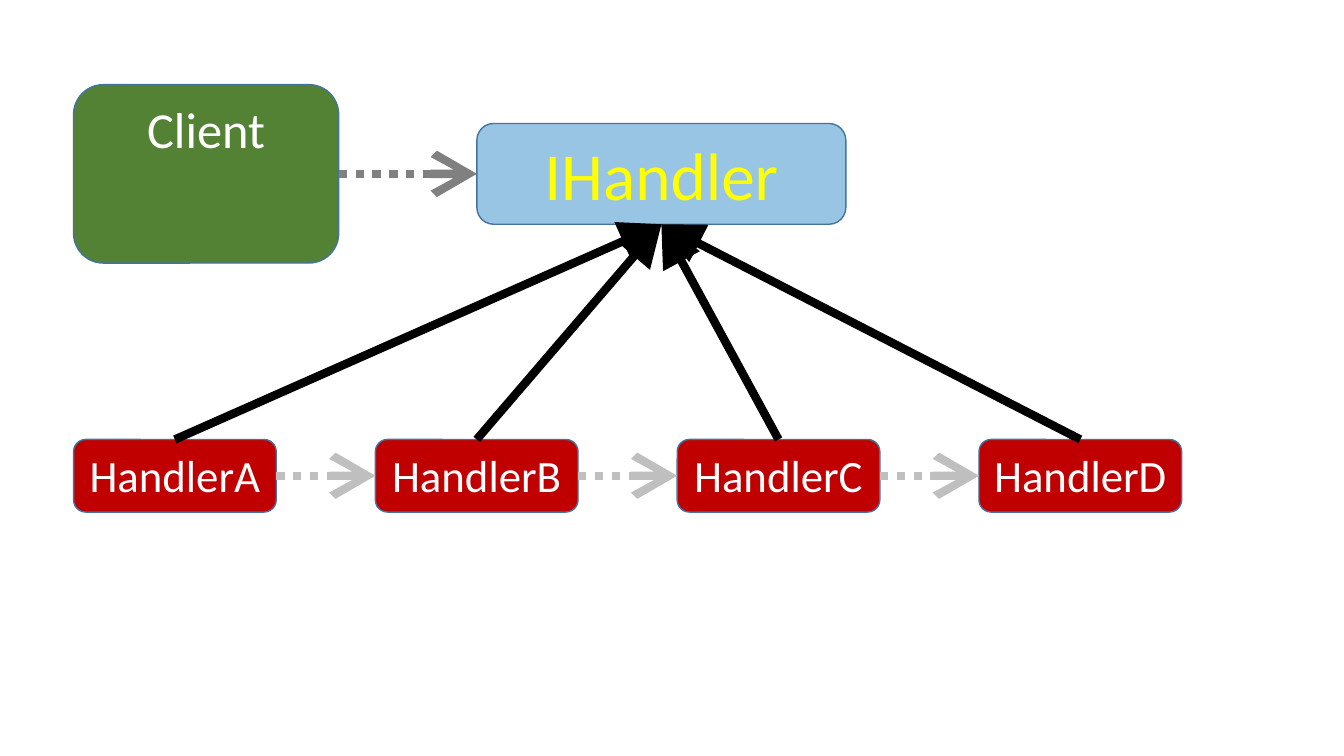
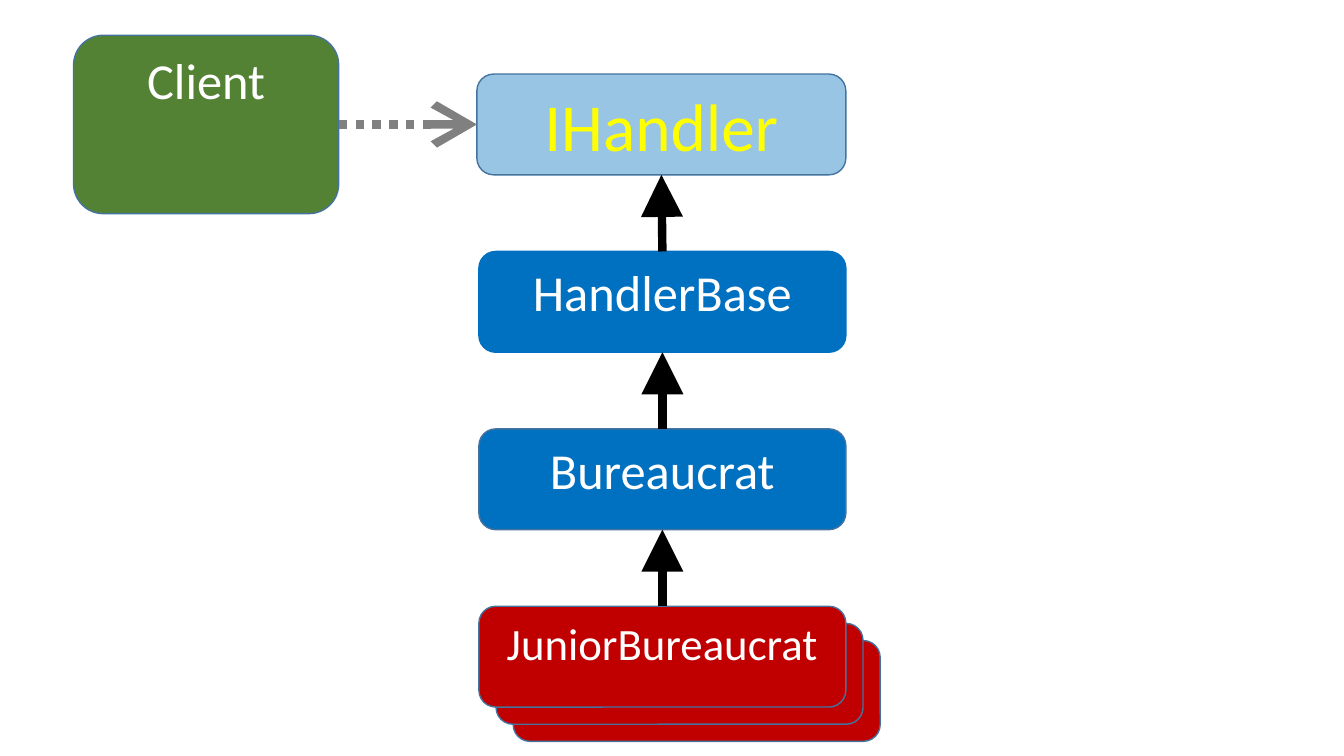
"""Build two class diagrams of the chain of responsibility pattern."""
from lxml import etree
from pptx import Presentation
from pptx.dml.color import RGBColor
from pptx.enum.dml import MSO_LINE
from pptx.enum.shapes import MSO_CONNECTOR, MSO_SHAPE
from pptx.enum.text import MSO_ANCHOR, PP_ALIGN
from pptx.oxml.ns import qn
from pptx.util import Inches, Pt

ROUNDED = MSO_SHAPE.ROUNDED_RECTANGLE
STRAIGHT = MSO_CONNECTOR.STRAIGHT
DOTTED = MSO_LINE.ROUND_DOT
TOP, LEFT, BOTTOM, RIGHT = range(4)

THEME = {
    "font": "Calibri",
    "outline": "43739E",
    "outline_width": 1,
    "arrow_width": 6,
    "boxes": {
        "client": {"fill": "548235", "size": 36, "color": "FFFFFF"},
        "interface": {"fill": "0070C0", "size": 48, "color": "FFFF00", "alpha": 40},
        "base": {"fill": "0070C0", "size": 36, "color": "FFFFFF", "line": "0070C0"},
        "abstract": {"fill": "0070C0", "size": 36, "color": "FFFFFF"},
        "handler": {"fill": "C00000", "size": 32, "color": "FFFFFF"},
    },
    "arrows": {
        "uses": {"color": "808080", "dash": DOTTED, "head": "arrow"},
        "next": {"color": "BFBFBF", "dash": DOTTED, "head": "arrow"},
        "inherits": {"color": "000000", "dash": None, "head": "triangle"},
    },
}

HANDLERS = ["HandlerA", "HandlerB", "HandlerC", "HandlerD"]
HIERARCHY = [
    ("HandlerBase", "base"),
    ("Bureaucrat", "abstract"),
    ("JuniorBureaucrat", "handler"),
]

MARGIN = 0.73
CLIENT_SIZE = (2.63, 1.77)
INTERFACE_LEFT, INTERFACE_SIZE = 4.73, (3.66, 1)
INTERFACE_DROP = (CLIENT_SIZE[1] - INTERFACE_SIZE[1]) / 2
HANDLER_TOP, HANDLER_SIZE = 4.36, (2.01, 0.72)
HANDLER_PITCH = (9.71 - MARGIN) / 3
CLASS_LEFT, CLASS_SIZE = 4.75, (3.64, 1)
CLASS_PITCH = 1.76
CARD_SHIFT, CARD_COUNT = 0.17, 2


def add_box(s, text, kind, left, top, size):
    """Add a rounded box in one of the theme's styles."""
    style = THEME["boxes"][kind]
    sp = s.shapes.add_shape(ROUNDED, *map(Inches, (left, top, *size)))
    sp.shadow.inherit = False
    sp.fill.solid()
    sp.fill.fore_color.rgb = RGBColor.from_string(style["fill"])
    if "alpha" in style:
        color = sp.fill._xPr.find(qn("a:solidFill"))[0]
        etree.SubElement(color, qn("a:alpha")).set("val", str(style["alpha"] * 1000))
    sp.line.color.rgb = RGBColor.from_string(style.get("line", THEME["outline"]))
    sp.line.width = Pt(THEME["outline_width"])
    if text:
        tf = sp.text_frame
        tf.word_wrap = True
        tf.vertical_anchor = MSO_ANCHOR.TOP
        p = tf.paragraphs[0]
        p.alignment = PP_ALIGN.CENTER
        r = p.add_run()
        r.text = text
        font = {"name": THEME["font"], "size": Pt(style["size"])}
        for name, value in font.items():
            setattr(r.font, name, value)
        r.font.color.rgb = RGBColor.from_string(style["color"])
    return sp


def add_arrow(s, kind, start, start_site, end, end_site):
    """Connect two boxes with an arrow that points at the second."""
    style = THEME["arrows"][kind]
    cn = s.shapes.add_connector(STRAIGHT, 0, 0, 0, 0)
    cn.begin_connect(start, start_site)
    cn.end_connect(end, end_site)
    cn.line.color.rgb = RGBColor.from_string(style["color"])
    cn.line.width = Pt(THEME["arrow_width"])
    if style["dash"]:
        cn.line.dash_style = style["dash"]
    head = etree.SubElement(cn.line._get_or_add_ln(), qn("a:tailEnd"))
    for name, value in {"type": style["head"], "w": "lg", "len": "lg"}.items():
        head.set(name, value)
    etree.SubElement(cn._element.spPr, qn("a:effectLst"))


def add_client(s, top):
    """Add the client with its arrow to the interface, which is returned."""
    client = add_box(s, "Client", "client", MARGIN, top, CLIENT_SIZE)
    interface = add_box(s, "IHandler", "interface", INTERFACE_LEFT,
                        top + INTERFACE_DROP, INTERFACE_SIZE)
    add_arrow(s, "uses", client, RIGHT, interface, LEFT)
    return interface


def build_chain(s):
    """Show the handlers as a chain below their interface."""
    interface = add_client(s, 0.84)
    boxes = [add_box(s, name, "handler", MARGIN + i * HANDLER_PITCH,
                     HANDLER_TOP, HANDLER_SIZE)
             for i, name in enumerate(HANDLERS)]
    for box, following in zip(boxes, boxes[1:]):
        add_arrow(s, "next", box, RIGHT, following, LEFT)
    for box in boxes:
        add_arrow(s, "inherits", box, TOP, interface, BOTTOM)


def build_hierarchy(s):
    """Show the class hierarchy with a stack of concrete handlers."""
    top = 0.35
    tops = [top + INTERFACE_DROP + i * CLASS_PITCH
            for i in range(1, len(HIERARCHY) + 1)]
    for i in range(CARD_COUNT, 0, -1):
        shift = i * CARD_SHIFT
        add_box(s, "", "handler", CLASS_LEFT + shift, tops[-1] + shift, CLASS_SIZE)
    parent = add_client(s, top)
    for (name, kind), y in zip(HIERARCHY, tops):
        box = add_box(s, name, kind, CLASS_LEFT, y, CLASS_SIZE)
        add_arrow(s, "inherits", box, TOP, parent, BOTTOM)
        parent = box


def main():
    """Build and save the presentation."""
    prs = Presentation()
    prs.slide_width, prs.slide_height = Inches(13.33), Inches(7.5)
    blank = prs.slide_layouts[6]
    for build in (build_chain, build_hierarchy):
        build(prs.slides.add_slide(blank))
    prs.save("out.pptx")


if __name__ == "__main__":
    main()
